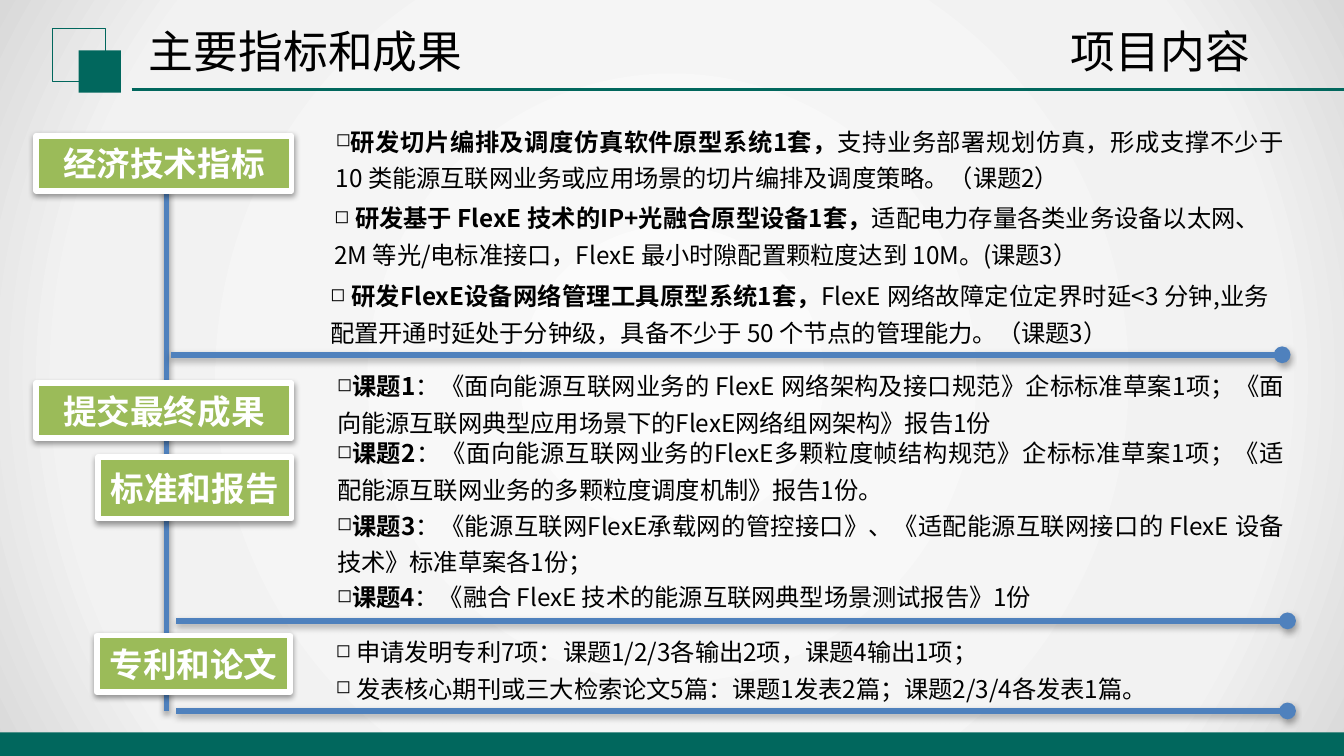
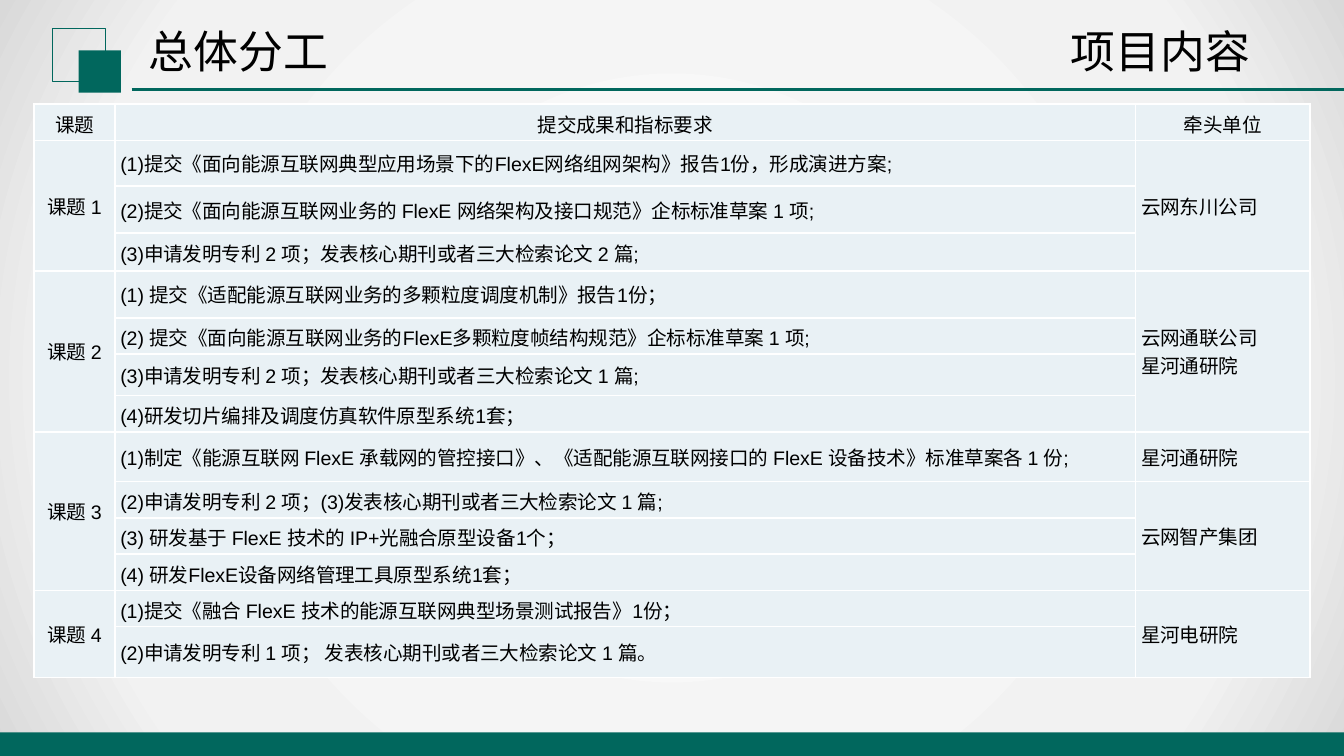
from dataclasses import dataclass
from typing import Optional

from lxml import etree
from pptx import Presentation
from pptx import util as u
from pptx.dml.color import RGBColor
from pptx.enum import shapes, text
from pptx.oxml import parse_xml
from pptx.oxml.ns import nsdecls, qn
from pptx.slide import Slide

PX = 4572
WIDTH, HEIGHT = 2000, 1125

GREEN = RGBColor(0x01, 0x67, 0x5D)
BLUE = RGBColor(0x4F, 0x81, 0xBD)
LIME = RGBColor(0x9B, 0xBB, 0x59)
PALE = RGBColor(0xE9, 0xF1, 0xF5)
WHITE = RGBColor(0xFF, 0xFF, 0xFF)
BLACK = RGBColor(0x00, 0x00, 0x00)
BACKDROP_STOPS = (
    (0, RGBColor(0xFB, 0xFB, 0xFB)),
    (79, RGBColor(0xF2, 0xF2, 0xF2)),
    (100, RGBColor(0xD9, 0xD9, 0xD9)),
)

HAN_FONT = "Noto Sans CJK SC"
TABLE_FONT = "Arial"
SECTION = "项目内容"


@dataclass(frozen=True)
class Span:
    text: str
    bold: bool = False


@dataclass(frozen=True)
class Label:
    text: str
    left: int
    top: int
    width: int
    height: int


@dataclass(frozen=True)
class Note:
    left: int
    top: int
    width: int
    height: int
    paras: tuple[tuple[Span, ...], ...]


@dataclass(frozen=True)
class Rule:
    x1: int
    y1: int
    x2: int
    y2: int
    dot: bool = True


@dataclass(frozen=True)
class Lead:
    rows: int
    names: tuple[str, ...]


@dataclass(frozen=True)
class Topic:
    name: str
    tasks: tuple[str, ...]
    leads: tuple[Lead, ...]


RULES = (
    Rule(248, 280, 248, 1058, dot=False),
    Rule(254, 528, 1908, 528),
    Rule(262, 1058, 1916, 1058),
    Rule(262, 924, 1916, 924),
)

LABELS = (
    Label("经济技术指标", 54, 202, 380, 82),
    Label("提交最终成果", 54, 570, 380, 82),
    Label("标准和报告", 146, 680, 288, 92),
    Label("专利和论文", 144, 946, 288, 84),
)

NOTES = (
    Note(480, 168, 1450, 130, ((
        Span("研发切片编排及调度仿真软件原型系统1套，", True),
        Span("支持业务部署规划仿真，形成支撑不少于 10 类能源互联网业务或应用场景的切片编排及调度策略。（课题2）"),
    ),)),
    Note(478, 282, 1416, 130, ((
        Span(" "),
        Span("研发基于 FlexE 技术的IP+光融合原型设备1套，", True),
        Span("适配电力存量各类业务设备以太网、2M 等光/电标准接口，FlexE 最小时隙配置颗粒度达到 10M。(课题3）"),
    ),)),
    Note(472, 398, 1436, 130, ((
        Span(" "),
        Span("研发FlexE设备网络管理工具原型系统1套，", True),
        Span("FlexE 网络故障定位定界时延<3 分钟,业务配置开通时延处于分钟级，具备不少于 50 个节点的管理能力。（课题3）"),
    ),)),
    Note(482, 532, 1448, 130, ((
        Span("课题1", True),
        Span("：《面向能源互联网业务的 FlexE 网络架构及接口规范》企标标准草案1项；《面向能源互联网典型应用场景下的FlexE网络组网架构》报告1份"),
    ),)),
    Note(482, 632, 1448, 130, ((
        Span("课题2", True),
        Span("：《面向能源互联网业务的FlexE多颗粒度帧结构规范》企标标准草案1项；《适配能源互联网业务的多颗粒度调度机制》报告1份。"),
    ),)),
    Note(482, 740, 1448, 130, ((
        Span("课题3", True),
        Span("：《能源互联网FlexE承载网的管控接口》、《适配能源互联网接口的 FlexE 设备技术》标准草案各1份；"),
    ),)),
    Note(482, 846, 1448, 74, ((
        Span("课题4", True),
        Span("：《融合 FlexE 技术的能源互联网典型场景测试报告》1份"),
    ),)),
    Note(480, 928, 1450, 130, (
        (Span(" 申请发明专利7项：课题1/2/3各输出2项，课题4输出1项；"),),
        (Span(" 发表核心期刊或三大检索论文5篇：课题1发表2篇；课题2/3/4各发表1篇。"),),
    )),
)

TABLE_HEAD = ("课题", "提交成果和指标要求", "牵头单位")
COLUMN_WIDTHS = (120, 1519, 259)
ROW_HEIGHTS = (54, 68, 70, 56, 70, 54, 62, 54, 74, 54, 54, 54, 54, 76)
TOPICS = (
    Topic("课题 1", (
        "(1)提交《面向能源互联网典型应用场景下的FlexE网络组网架构》报告1份，形成演进方案;",
        "(2)提交《面向能源互联网业务的 FlexE 网络架构及接口规范》企标标准草案 1 项;",
        "(3)申请发明专利 2 项；发表核心期刊或者三大检索论文 2 篇;",
    ), (Lead(3, ("云网东川公司",)),)),
    Topic("课题 2", (
        "(1) 提交《适配能源互联网业务的多颗粒度调度机制》报告1份；",
        "(2) 提交《面向能源互联网业务的FlexE多颗粒度帧结构规范》企标标准草案 1 项;",
        "(3)申请发明专利 2 项；发表核心期刊或者三大检索论文 1 篇;",
        "(4)研发切片编排及调度仿真软件原型系统1套；",
    ), (Lead(4, ("云网通联公司", "星河通研院")),)),
    Topic("课题 3", (
        "(1)制定《能源互联网 FlexE 承载网的管控接口》、《适配能源互联网接口的 FlexE 设备技术》标准草案各 1 份;",
        "(2)申请发明专利 2 项；(3)发表核心期刊或者三大检索论文 1 篇;",
        "(3) 研发基于 FlexE 技术的 IP+光融合原型设备1个；",
        "(4) 研发FlexE设备网络管理工具原型系统1套；",
    ), (Lead(1, ("星河通研院",)), Lead(3, ("云网智产集团",)))),
    Topic("课题 4", (
        "(1)提交《融合 FlexE 技术的能源互联网典型场景测试报告》1份；",
        "(2)申请发明专利 1 项； 发表核心期刊或者三大检索论文 1 篇。",
    ), (Lead(2, ("星河电研院",)),)),
)


def px(*lengths: int) -> list[u.Emu]:
    """Turn px lengths into EMU."""
    return [u.Emu(length * PX) for length in lengths]


def add_span(para, span: Span, size: float, color: RGBColor = BLACK, font: str = HAN_FONT) -> None:
    """Add one styled run to a paragraph."""
    run = para.add_run()
    run.text = span.text
    run.font.size, run.font.bold, run.font.name = u.Pt(size), span.bold, font
    run.font.color.rgb = color
    etree.SubElement(run.font._element, qn("a:ea"), typeface=HAN_FONT)


def set_shadow(item, opacity: int = 0, distance: int = 0) -> None:
    """Give a drawn object a soft downward shadow, or none."""
    effects = etree.SubElement(item.element.spPr, qn("a:effectLst"))
    if opacity:
        shadow = etree.SubElement(effects, qn("a:outerShdw"), blurRad="40000", dist=str(distance),
                                  dir="5400000", rotWithShape="0")
        color = etree.SubElement(shadow, qn("a:srgbClr"), val=str(BLACK))
        etree.SubElement(color, qn("a:alpha"), val=str(opacity * 1000))


def add_box(page: Slide, left: int, top: int, width: int, height: int,
            fill: Optional[RGBColor] = None, line: Optional[RGBColor] = None, weight: float = 0.75):
    """Draw a rectangle with an optional fill and outline."""
    box = page.shapes.add_shape(shapes.MSO_SHAPE.RECTANGLE, *px(left, top, width, height))
    if fill is None:
        box.fill.background()
    else:
        box.fill.solid()
        box.fill.fore_color.rgb = fill
    if line is None:
        box.line.fill.background()
    else:
        box.line.color.rgb, box.line.width = line, u.Pt(weight)
    return box


def add_line(page: Slide, rule: Rule, color: RGBColor, weight: float):
    """Draw a straight line without effects."""
    line = page.shapes.add_connector(shapes.MSO_CONNECTOR.STRAIGHT, *px(rule.x1, rule.y1, rule.x2, rule.y2))
    line.line.color.rgb, line.line.width = color, u.Pt(weight)
    return line


def add_backdrop(page: Slide) -> None:
    """Fill the page with a radial grey gradient."""
    box = add_box(page, 0, 0, WIDTH, HEIGHT, WHITE)
    stops = "".join(f'<a:gs pos="{pos * 1000}"><a:srgbClr val="{color}"/></a:gs>' for pos, color in BACKDROP_STOPS)
    gradient = parse_xml(
        f'<a:gradFill {nsdecls("a")} rotWithShape="1"><a:gsLst>{stops}</a:gsLst><a:path path="circle">'
        '<a:fillToRect l="50000" t="50000" r="50000" b="50000"/></a:path></a:gradFill>')
    properties = box.element.spPr
    properties.replace(properties.find(qn("a:solidFill")), gradient)
    set_shadow(box)


def add_heading(page: Slide, left: int, words: str) -> None:
    """Add a heading box as wide as its characters."""
    box = page.shapes.add_textbox(*px(left, 26, round(40 + len(words) * 200 / 3), 100))
    box.text_frame.word_wrap = False
    box.text_frame.auto_size = text.MSO_AUTO_SIZE.SHAPE_TO_FIT_TEXT
    add_span(box.text_frame.paragraphs[0], Span(words), 24)


def add_page(deck, title: str) -> Slide:
    """Add a blank page with the shared decoration and headings."""
    page = deck.slides.add_slide(deck.slide_layouts[6])
    add_backdrop(page)
    for item in (
        add_box(page, 78, 42, 79, 79, line=GREEN),
        add_box(page, 117, 75, 63, 63, GREEN),
        add_line(page, Rule(196, 133, WIDTH, 133), GREEN, 1.25),
        add_box(page, 0, 1090, WIDTH, HEIGHT - 1090, GREEN),
    ):
        set_shadow(item)
    add_heading(page, 202, title)
    add_heading(page, 1574, SECTION)
    return page


def add_rule(page: Slide, rule: Rule) -> None:
    """Draw a blue timeline rule, dotted at its end if asked."""
    line = add_line(page, rule, BLUE, 3)
    if rule.dot:
        etree.SubElement(line.element.spPr.find(qn("a:ln")), qn("a:tailEnd"), type="oval")
    set_shadow(line, 35, 23000)


def add_label(page: Slide, label: Label) -> None:
    """Draw a green label with a white frame."""
    box = add_box(page, label.left, label.top, label.width, label.height, LIME, WHITE, 3)
    set_shadow(box, 38, 20000)
    frame = box.text_frame
    frame.word_wrap = False
    frame.vertical_anchor = text.MSO_ANCHOR.MIDDLE
    para = frame.paragraphs[0]
    para.alignment = text.PP_ALIGN.CENTER
    add_span(para, Span(label.text, True), 18, WHITE)


def add_note(page: Slide, note: Note) -> None:
    """Add a justified text box with small square bullets."""
    frame = page.shapes.add_textbox(*px(note.left, note.top, note.width, note.height)).text_frame
    frame.word_wrap = True
    frame.auto_size = text.MSO_AUTO_SIZE.SHAPE_TO_FIT_TEXT
    for index, spans in enumerate(note.paras):
        para = frame.add_paragraph() if index else frame.paragraphs[0]
        para.alignment, para.line_spacing = text.PP_ALIGN.JUSTIFY, 1.25
        properties = para._p.get_or_add_pPr()
        etree.SubElement(properties, qn("a:buSzPct"), val="75000")
        etree.SubElement(properties, qn("a:buChar"), char="◻")
        for span in spans:
            add_span(para, span, 13)


def style_cell(cell) -> None:
    """Give a cell its fill, margins, anchor and white borders."""
    cell.margin_left = cell.margin_right = cell.margin_top = cell.margin_bottom = px(8)[0]
    cell.vertical_anchor = text.MSO_ANCHOR.MIDDLE
    properties = cell._tc.get_or_add_tcPr()
    for side in ("lnL", "lnR", "lnT", "lnB"):
        border = etree.SubElement(properties, qn(f"a:{side}"), w=str(u.Pt(1)))
        etree.SubElement(etree.SubElement(border, qn("a:solidFill")), qn("a:srgbClr"), val=str(WHITE))
    cell.fill.solid()
    cell.fill.fore_color.rgb = PALE


def write_cell(table, row: int, column: int, lines: tuple[str, ...], rows: int = 1, centred: bool = False) -> None:
    """Write lines into a cell that spans the given rows."""
    cell = table.cell(row, column)
    if rows > 1:
        cell.merge(table.cell(row + rows - 1, column))
    for index, words in enumerate(lines):
        para = cell.text_frame.add_paragraph() if index else cell.text_frame.paragraphs[0]
        para.alignment = text.PP_ALIGN.CENTER if centred else text.PP_ALIGN.LEFT
        add_span(para, Span(words), 10.5, font=TABLE_FONT)


def add_division_table(page: Slide) -> None:
    """Build the table of topics, tasks and lead units."""
    frame = page.shapes.add_table(len(ROW_HEIGHTS), len(COLUMN_WIDTHS),
                                  *px(51, 155, sum(COLUMN_WIDTHS), sum(ROW_HEIGHTS)))
    table = frame.table
    table.first_row = table.horz_banding = False
    for column, width in zip(table.columns, px(*COLUMN_WIDTHS)):
        column.width = width
    for row, height in zip(table.rows, px(*ROW_HEIGHTS)):
        row.height = height
    for cell in table.iter_cells():
        style_cell(cell)
    for column, words in enumerate(TABLE_HEAD):
        write_cell(table, 0, column, (words,), centred=True)
    top = 1
    for topic in TOPICS:
        write_cell(table, top, 0, (topic.name,), len(topic.tasks), centred=True)
        lead_top = top
        for lead in topic.leads:
            write_cell(table, lead_top, 2, lead.names, lead.rows)
            lead_top += lead.rows
        for task in topic.tasks:
            write_cell(table, top, 1, (task,))
            top += 1


def main() -> None:
    """Build and save the deck."""
    deck = Presentation()
    deck.slide_width, deck.slide_height = px(WIDTH, HEIGHT)
    results = add_page(deck, "主要指标和成果")
    for rule in RULES:
        add_rule(results, rule)
    for label in LABELS:
        add_label(results, label)
    for note in NOTES:
        add_note(results, note)
    add_division_table(add_page(deck, "总体分工"))
    deck.save("out.pptx")


if __name__ == "__main__":
    main()
